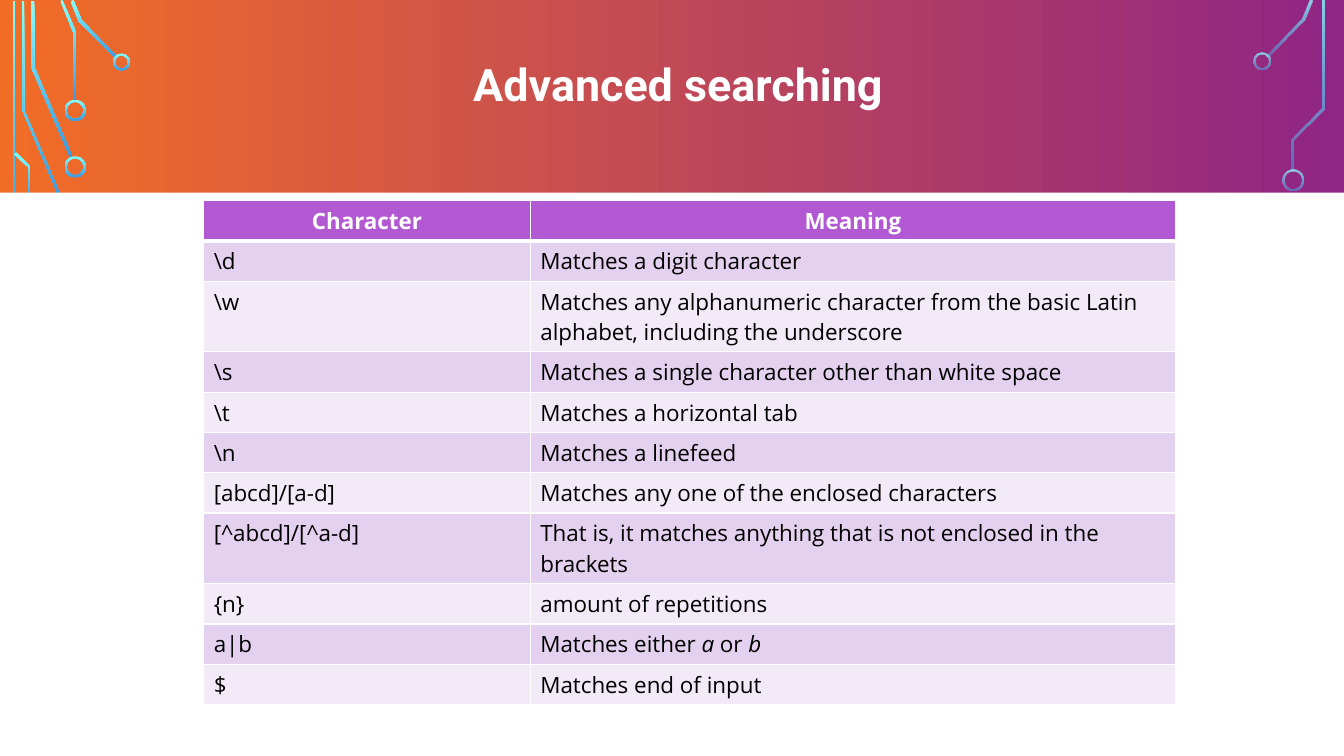
from lxml import etree
from pptx import Presentation
from pptx.dml.color import RGBColor
from pptx.enum.shapes import MSO_SHAPE
from pptx.enum.text import MSO_ANCHOR, PP_ALIGN
from pptx.oxml.ns import qn
from pptx.util import Inches, Pt

RECTANGLE = MSO_SHAPE.RECTANGLE
DONUT = MSO_SHAPE.DONUT
CENTER = PP_ALIGN.CENTER
LEFT = PP_ALIGN.LEFT
MIDDLE = MSO_ANCHOR.MIDDLE

WHITE = "FFFFFF"
BLACK = "000000"
HEADER_PURPLE = "B258D3"
BANDS = ("E4D1EF", "F2EAF7")
BACKDROP = ("8F2585", "F26D26")
CIRCUIT = ("82FFFF", "3D97DE")
OPAQUE = (100, 100)
FADED = (80, 60)
DOWNWARD = 270
LEFTWARD = 180
RING_WIDTH = 0.02

LEFT_TRACES = [
    [(0.6, 1.99), (0.22, 1.09), (0.22, 0.01), (0.24, 0.01), (0.24, 1.09), (0.62, 1.98)],
    [(0.7, 1.57), (0.31, 0.67), (0.31, 0.01), (0.34, 0.01), (0.34, 0.66), (0.72, 1.56)],
    [(0.76, 1), (0.73, 1), (0.73, 0.33), (0.6, 0.01), (0.62, 0), (0.76, 0.33)],
    [(1.15, 0.58), (0.78, 0.21), (0.7, 0.01), (0.73, 0), (0.81, 0.2), (1.16, 0.56)],
    [(0.3, 2.03), (0.28, 2.03), (0.28, 1.66), (0.14, 1.53), (0.16, 1.51), (0.3, 1.65)],
]
RIGHT_TRACES = [
    [(12.58, 0.56), (12.56, 0.55), (12.91, 0.19), (12.99, 0), (13.02, 0.01), (12.94, 0.2)],
    [(12.83, 1.69), (12.81, 1.69), (12.81, 1.38), (13.11, 1.07), (13.11, 0.01),
     (13.14, 0.01), (13.14, 1.08), (12.83, 1.39)],
]
LEFT_RINGS = [(0.64, 1.55, 0.21), (0.64, 0.99, 0.21), (1.12, 0.53, 0.17)]
RIGHT_RINGS = [(12.43, 0.52, 0.17), (12.72, 1.68, 0.21)]

COLUMN_WIDTHS = (3.24, 6.4)
ROW_HEIGHT = 0.4
TALL_ROW_HEIGHT = 0.7
TALL_ROWS = (2, 7)
MEANINGS = [
    ("Character", "Meaning"),
    (r"\d", "Matches a digit character"),
    (r"\w", "Matches any alphanumeric character from the basic Latin alphabet, "
            "including the underscore"),
    (r"\s", "Matches a single character other than white space"),
    (r"\t", "Matches a horizontal tab"),
    (r"\n", "Matches a linefeed"),
    ("[abcd]/[a-d]", "Matches any one of the enclosed characters"),
    ("[^abcd]/[^a-d]", "That is, it matches anything that is not enclosed in the brackets"),
    ("{n}", "amount of repetitions"),
    ("a|b", "Matches either *a* or *b*"),
    ("$", "Matches end of input"),
]


def rgb(value):
    """Turn a hex string into a colour."""
    return RGBColor.from_string(value)


def fill_gradient(fill, colors, angle):
    """Apply a two-stop linear gradient."""
    fill.gradient()
    fill.gradient_angle = angle
    for position, (stop, color) in enumerate(zip(fill.gradient_stops, colors)):
        stop.position = position
        stop.color.rgb = rgb(color)


def style_circuit(part, opacities):
    """Give a circuit part its gradient and remove line and shadow."""
    fill_gradient(part.fill, CIRCUIT, DOWNWARD)
    stop_colors = list(part.element.spPr.iter(qn("a:srgbClr")))
    for stop_color, opacity in zip(stop_colors, opacities):
        etree.SubElement(stop_color, qn("a:alpha"), val=str(opacity * 1000))
    part.line.fill.background()
    part.shadow.inherit = False


def add_trace(slide, points, opacities):
    """Draw one closed circuit trace."""
    corners = [(Inches(x), Inches(y)) for x, y in points]
    builder = slide.shapes.build_freeform(*corners[0])
    builder.add_line_segments(corners[1:], close=True)
    style_circuit(builder.convert_to_shape(), opacities)


def add_ring(slide, left, top, size, opacities):
    """Draw the round end of a circuit trace."""
    ring = slide.shapes.add_shape(
        DONUT, Inches(left), Inches(top), Inches(size), Inches(size))
    ring.adjustments[0] = RING_WIDTH / size
    style_circuit(ring, opacities)


def add_circuit(slide, traces, rings, opacities):
    """Draw the traces and rings of one side."""
    for points in traces:
        add_trace(slide, points, opacities)
    for left, top, size in rings:
        add_ring(slide, left, top, size, opacities)


def add_rail(slide):
    """Draw the straight rail at the left edge."""
    rail = slide.shapes.add_shape(
        RECTANGLE, Inches(0.13), Inches(0.01), Inches(0.02), Inches(2.39))
    style_circuit(rail, OPAQUE)


def add_content_panel(slide):
    """Draw the white panel below the heading."""
    panel = slide.shapes.add_shape(
        RECTANGLE, 0, Inches(1.91), Inches(13.33), Inches(5.59))
    panel.fill.solid()
    panel.fill.fore_color.rgb = rgb(WHITE)
    panel.line.fill.background()
    panel.shadow.inherit = False


def set_font(paragraph, name, size, color, bold):
    """Set the font of a whole paragraph."""
    paragraph.font.name = name
    paragraph.font.size = Pt(size)
    paragraph.font.color.rgb = rgb(color)
    paragraph.font.bold = bold


def add_heading(slide, text):
    """Write the slide heading."""
    heading = slide.shapes.add_textbox(
        Inches(0.86), Inches(0.49), Inches(11.83), Inches(0.75)).text_frame
    heading.word_wrap = True
    heading.vertical_anchor = MIDDLE
    heading.margin_left = 0
    paragraph = heading.paragraphs[0]
    paragraph.text = text
    paragraph.alignment = CENTER
    paragraph.line_spacing = 0.9
    set_font(paragraph, "Roboto", 32, WHITE, True)


def add_border(cell, side, width):
    """Draw a white border on one side of a cell."""
    border = etree.SubElement(
        cell._tc.get_or_add_tcPr(), qn(f"a:ln{side}"), w=str(Pt(width)))
    solid = etree.SubElement(border, qn("a:solidFill"))
    etree.SubElement(solid, qn("a:srgbClr"), val=WHITE)


def fill_cell(cell, text, row):
    """Write and style one table cell, with starred words in italics."""
    is_header = row == 0
    for side in "LRTB":
        add_border(cell, side, 3 if (side, row) in (("B", 0), ("T", 1)) else 1)
    cell.fill.solid()
    cell.fill.fore_color.rgb = rgb(HEADER_PURPLE if is_header else BANDS[(row - 1) % 2])
    paragraph = cell.text_frame.paragraphs[0]
    paragraph.alignment = CENTER if is_header else LEFT
    set_font(paragraph, "Open Sans", 16, WHITE if is_header else BLACK, is_header)
    for index, words in enumerate(text.split("*")):
        if words:
            run = paragraph.add_run()
            run.text = words
            if index % 2:
                run.font.italic = True


def add_meanings_table(slide):
    """Build the table of characters and their meanings."""
    table = slide.shapes.add_table(
        len(MEANINGS), len(COLUMN_WIDTHS), Inches(2.02), Inches(1.99),
        Inches(9.64), Inches(5)).table
    for column, width in zip(table.columns, COLUMN_WIDTHS):
        column.width = Inches(width)
    for row, texts in enumerate(MEANINGS):
        table.rows[row].height = Inches(TALL_ROW_HEIGHT if row in TALL_ROWS else ROW_HEIGHT)
        for column, text in enumerate(texts):
            fill_cell(table.cell(row, column), text, row)


def main():
    """Build and save the slide."""
    deck = Presentation()
    deck.slide_width = Inches(13.33)
    deck.slide_height = Inches(7.5)
    slide = deck.slides.add_slide(deck.slide_layouts[6])
    fill_gradient(slide.background.fill, BACKDROP, LEFTWARD)
    add_rail(slide)
    add_circuit(slide, LEFT_TRACES, LEFT_RINGS, OPAQUE)
    add_circuit(slide, RIGHT_TRACES, RIGHT_RINGS, FADED)
    add_content_panel(slide)
    add_heading(slide, "Advanced searching")
    add_meanings_table(slide)
    deck.save("out.pptx")


if __name__ == "__main__":
    main()
